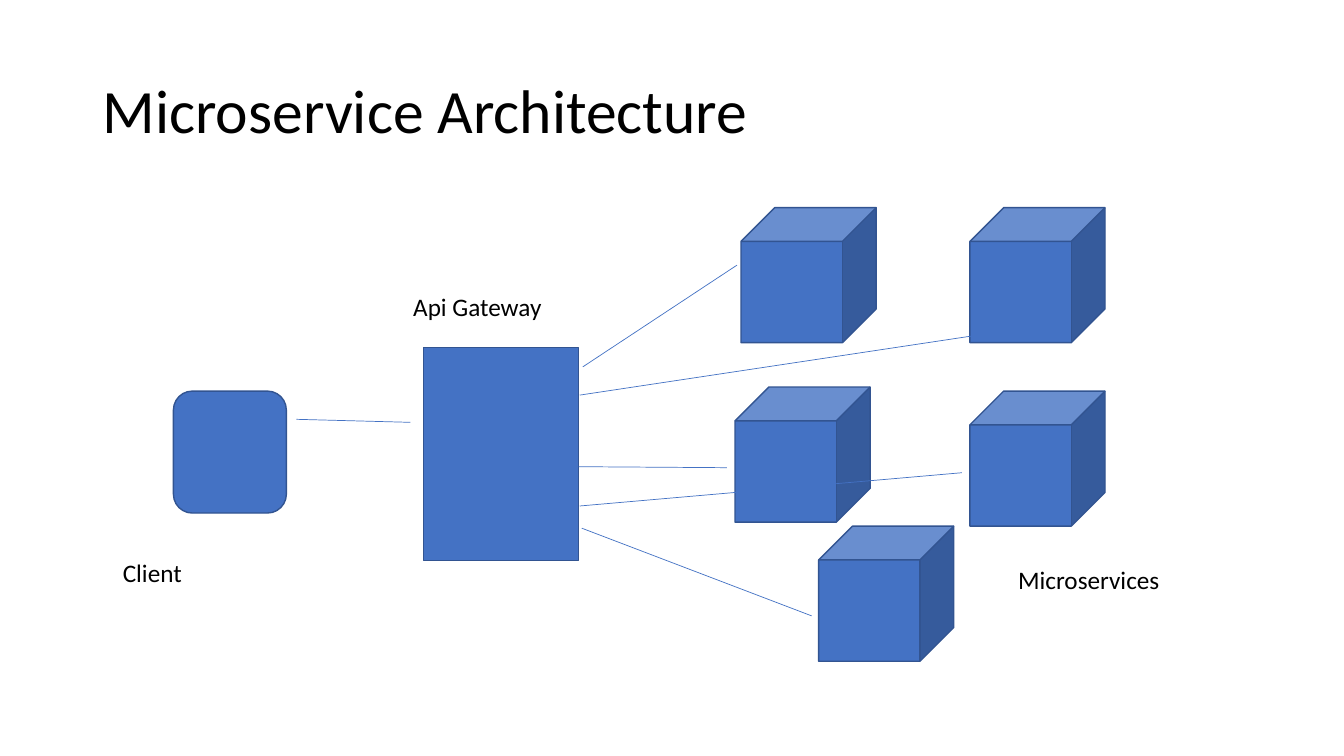
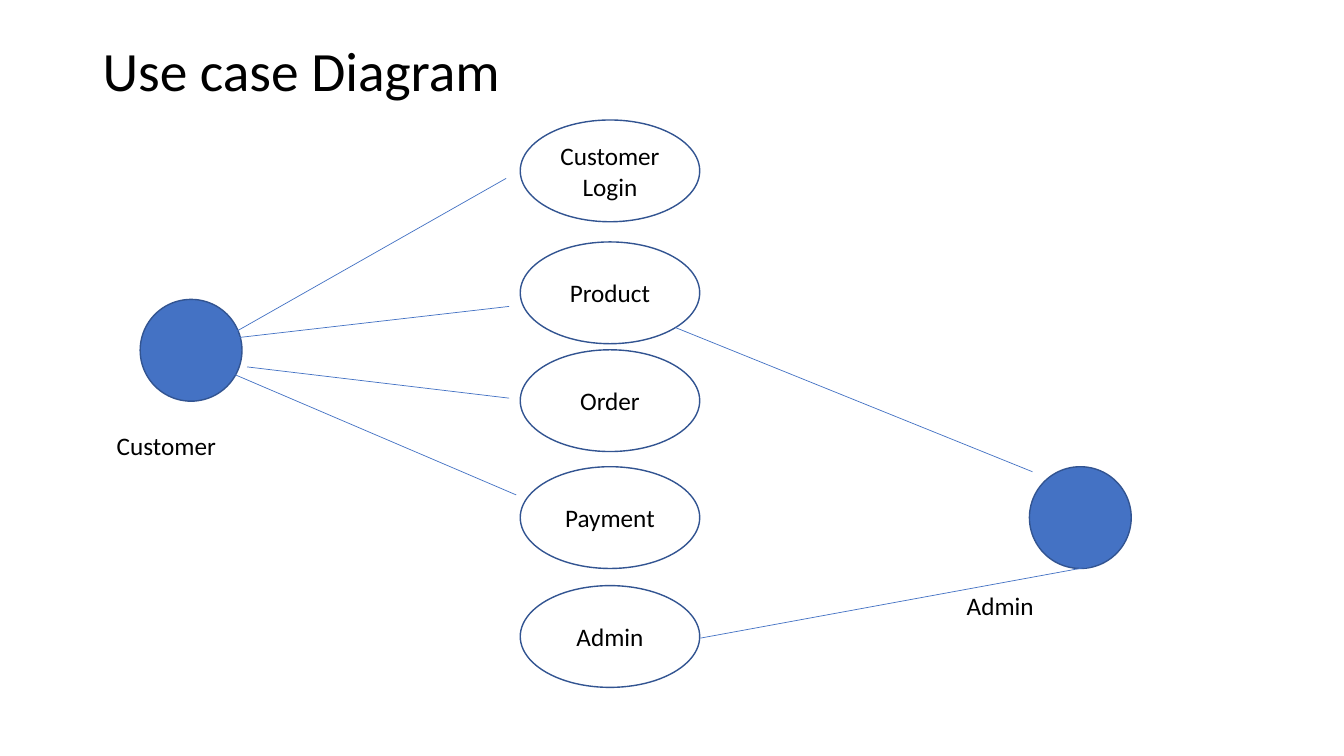
from lxml import etree
from pptx import Presentation
from pptx.dml.color import RGBColor
from pptx.enum import shapes, text
from pptx.oxml import ns
from pptx.util import Inches, Pt

# Shared look
BLUE = RGBColor(0x44, 0x72, 0xC4)
EDGE = RGBColor(0x32, 0x54, 0x91)
WHITE = RGBColor(0xFF, 0xFF, 0xFF)
BLACK = RGBColor(0, 0, 0)
FONT = "Calibri"
BODY_SIZE = 18
KIND = shapes.MSO_SHAPE


def box(*lengths):
    return [Inches(v) for v in lengths]


def write(tf, lines, size=BODY_SIZE, **para_format):
    """Fill a text frame with one paragraph per line."""
    tf.word_wrap = True
    for i, line in enumerate(lines):
        p = tf.add_paragraph() if i else tf.paragraphs[0]
        for name, value in para_format.items():
            setattr(p, name, value)
        r = p.add_run()
        r.text = line
        font = {"name": FONT, "size": Pt(size)}
        for name, value in font.items():
            setattr(r.font, name, value)
        r.font.color.rgb = BLACK


def add_title(s, title, height, size):
    tf = s.shapes.add_textbox(*box(0.92, 0.4, 11.5, height)).text_frame
    tf.vertical_anchor = text.MSO_ANCHOR.MIDDLE
    write(tf, [title], size, line_spacing=0.9)


def add_label(s, label, x, y):
    tf = s.shapes.add_textbox(*box(x, y, 3, 0.4)).text_frame
    write(tf, [label])
    tf.auto_size = text.MSO_AUTO_SIZE.SHAPE_TO_FIT_TEXT


def add_node(s, kind, x, y, w, h, fill=BLUE, lines=()):
    sp = s.shapes.add_shape(kind, *box(x, y, w, h))
    sp.shadow.inherit = False
    sp.fill.solid()
    sp.fill.fore_color.rgb = fill
    sp.line.color.rgb = EDGE
    sp.line.width = Pt(1)
    sp.text_frame.vertical_anchor = text.MSO_ANCHOR.MIDDLE
    write(sp.text_frame, lines, alignment=text.PP_ALIGN.CENTER)


def add_links(s, links):
    for link in links:
        line = s.shapes.add_connector(shapes.MSO_CONNECTOR.STRAIGHT, *box(*link))
        line.line.color.rgb = BLUE
        line.line.width = Pt(0.5)
        etree.SubElement(line._element.spPr, ns.qn("a:effectLst"))


def architecture_slide(s):
    add_title(s, "Microservice Architecture", 1.45, 44)

    # Gateway, client and services
    add_node(s, KIND.RECTANGLE, 4.2, 3.45, 1.54, 2.11)
    add_node(s, KIND.ROUNDED_RECTANGLE, 1.72, 3.88, 1.12, 1.21)
    cube = 1.34
    services = [(7.35, 2.06), (9.62, 2.06), (7.29, 3.84), (9.62, 3.88), (8.12, 5.22)]
    for x, y in services:
        add_node(s, KIND.CUBE, x, y, cube, cube)

    add_label(s, "Api Gateway", 4, 2.84)
    add_label(s, "Client", 1.12, 5.48)
    add_label(s, "Microservices", 10, 5.55)

    # Client to gateway, then gateway to each service
    add_links(s, [
        (2.94, 4.16, 4.07, 4.19),
        (5.78, 3.64, 7.31, 2.63),
        (5.77, 5.24, 8.05, 6.11),
        (5.74, 4.63, 7.21, 4.64),
        (5.75, 3.92, 9.73, 3.32),
        (5.75, 5.02, 9.54, 4.69),
    ])


def use_case_slide(s):
    add_title(s, "Use case Diagram", 0.66, 39.6)

    # Use cases
    cases = [
        (1.19, ["Customer", "Login"]),
        (2.4, ["Product"]),
        (3.47, ["Order"]),
        (4.63, ["Payment"]),
        (5.81, ["Admin"]),
    ]
    for y, lines in cases:
        add_node(s, KIND.OVAL, 5.16, y, 1.78, 1.01, WHITE, lines)

    # Actors
    actor = 1.01
    add_node(s, KIND.OVAL, 1.39, 2.97, actor, actor)
    add_label(s, "Customer", 1.06, 4.22)
    add_node(s, KIND.OVAL, 10.21, 4.63, actor, actor)
    add_label(s, "Admin", 9.49, 5.81)

    # Admin links, then customer links
    add_links(s, [
        (6.7, 3.25, 10.24, 4.68),
        (6.95, 6.33, 10.82, 5.62),
        (2.27, 3.33, 5.02, 1.77),
        (2.45, 3.64, 5.05, 3.95),
        (2.15, 3.64, 5.12, 4.91),
        (2.01, 3.39, 5.05, 3.04),
    ])


def main():
    prs = Presentation()
    prs.slide_width, prs.slide_height = box(13.33, 7.5)
    blank = prs.slide_layouts[6]
    for build in (architecture_slide, use_case_slide):
        build(prs.slides.add_slide(blank))
    prs.save("out.pptx")


main()
